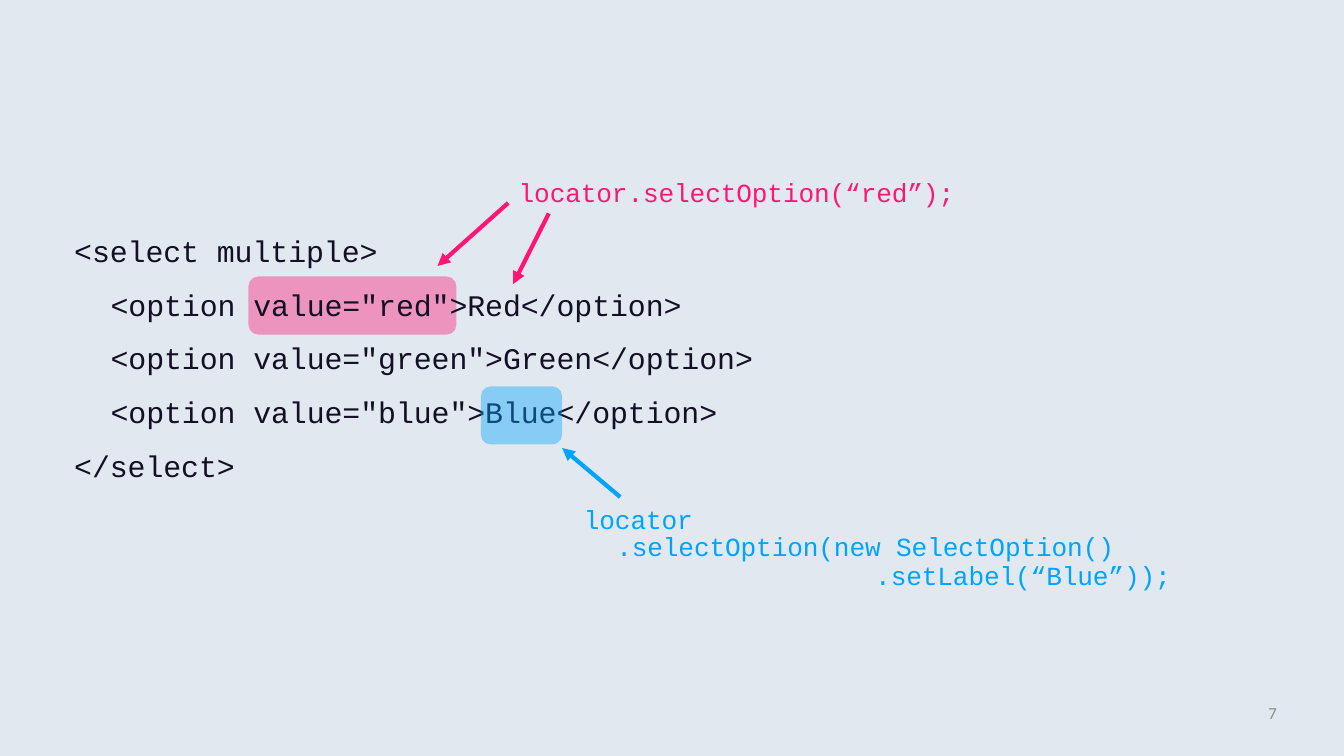
from dataclasses import dataclass

from lxml.etree import SubElement
from pptx import Presentation
from pptx.dml.color import RGBColor
from pptx.enum.shapes import MSO_CONNECTOR, MSO_SHAPE
from pptx.enum.text import MSO_ANCHOR, MSO_AUTO_SIZE, PP_ALIGN
from pptx.oxml.ns import qn
from pptx.util import Pt

PX = 9525


@dataclass(frozen=True)
class Theme:
    background: RGBColor = RGBColor(0xE2, 0xE8, 0xF0)
    code: RGBColor = RGBColor(0x13, 0x0F, 0x24)
    pink: RGBColor = RGBColor(0xFF, 0x16, 0x75)
    blue: RGBColor = RGBColor(0x00, 0xA3, 0xFE)
    muted: RGBColor = RGBColor(0x8C, 0x8C, 0x8C)
    code_font: str = "Courier New"
    number_font: str = "Calibri"
    code_size: int = 32
    call_size: int = 28
    number_size: int = 18
    arrow_width: float = 4.5


theme = Theme()


def place_text(shape, left, top, width, height, top_inset=0):
    shape.left, shape.top, shape.width, shape.height = (
        value * PX for value in (left, top, width, height))
    frame = shape.text_frame
    frame.word_wrap = True
    frame.auto_size = MSO_AUTO_SIZE.NONE
    frame.vertical_anchor = MSO_ANCHOR.TOP
    frame.margin_left = frame.margin_right = frame.margin_bottom = 0
    frame.margin_top = top_inset * PX
    return frame


def format_code(paragraph, size, color, indent, space_before, alignment=PP_ALIGN.LEFT):
    """Style one line of code, without a bullet and slightly tightened."""
    paragraph.alignment = alignment
    paragraph.space_before = Pt(space_before)
    properties = paragraph._p.get_or_add_pPr()
    properties.set("marL", str(indent * PX))
    properties.set("indent", "0")
    SubElement(properties, qn("a:buNone"))
    for run in paragraph.runs:
        run.font.name = theme.code_font
        run.font.size = Pt(size)
        run.font.color.rgb = color
        run._r.get_or_add_rPr().set("spc", "-10")


presentation = Presentation()
presentation.slide_width, presentation.slide_height = 1920 * PX, 1080 * PX
slide = presentation.slides.add_slide(presentation.slide_layouts[1])
slide.background.fill.solid()
slide.background.fill.fore_color.rgb = theme.background
title, body = slide.placeholders

title_frame = place_text(title, 740, 251, 628, 47, top_inset=1)
title_frame.text = "locator.selectOption(“red”);"
format_code(title_frame.paragraphs[0], theme.call_size, theme.pink, 1, 1)

# Highlights: the pink one lies behind the code, the blue one over it
for left, top, width, color in [(355, 395, 297, theme.pink), (687, 552, 116, theme.blue)]:
    highlight = slide.shapes.add_shape(
        MSO_SHAPE.ROUNDED_RECTANGLE, left * PX, top * PX, width * PX, 83 * PX)
    highlight.shadow.inherit = False
    highlight.line.fill.background()
    highlight.fill.solid()
    highlight.fill.fore_color.rgb = color
    fill_color = highlight.fill._xPr.find(qn("a:solidFill"))[0]
    SubElement(fill_color, qn("a:alpha"), val="40000")
    if color == theme.pink:
        highlight._element.addnext(body._element)

# text, indent, space before
code_lines = [
    ("<select multiple>", 1, 20.4),
    ('<option value="red">Red</option>', 53, 19.4),
    ('<option value="green">Green</option>', 53, 18.8),
    ('<option value="blue">Blue</option>', 53, 19.4),
    ("</select>", 1, 19.7),
]
# text, indent, space before, line spacing
call_lines = [
    ("locator", 44, 23.7, 30.9),
    (".selectOption(new SelectOption()", 692, 0, 28.6),
    (".setLabel(“Blue”));", 1143, 0, 31.3),
]
body_frame = place_text(body, 105, 305, 1570, 540, top_inset=27)
body_frame.text = "\n".join(line[0] for line in code_lines + call_lines)
paragraphs = body_frame.paragraphs
for paragraph, (_, indent, space_before) in zip(paragraphs, code_lines):
    format_code(paragraph, theme.code_size, theme.code, indent, space_before)
for paragraph, (_, indent, space_before, spacing) in zip(paragraphs[len(code_lines):], call_lines):
    format_code(paragraph, theme.call_size, theme.blue, indent, space_before, PP_ALIGN.CENTER)
    paragraph.line_spacing = Pt(spacing)

arrows = [
    (726, 290, 625, 380, theme.pink),
    (784, 305, 733, 406, theme.pink),
    (886, 710, 803, 640, theme.blue),
]
for start_x, start_y, end_x, end_y, color in arrows:
    arrow = slide.shapes.add_connector(
        MSO_CONNECTOR.STRAIGHT, start_x * PX, start_y * PX, end_x * PX, end_y * PX)
    arrow.line.color.rgb = color
    arrow.line.width = Pt(theme.arrow_width)
    SubElement(arrow.line._get_or_add_ln(), qn("a:tailEnd"), type="triangle")
    SubElement(arrow._element.spPr, qn("a:effectLst"))

number_box = slide.shapes.add_textbox(0, 0, 0, 0)
number_frame = place_text(number_box, 1382, 1004, 442, 54)
number_frame.text = "7"
number = number_frame.paragraphs[0]
number.alignment = PP_ALIGN.RIGHT
number.runs[0].font.name = theme.number_font
number.runs[0].font.size = Pt(theme.number_size)
number.runs[0].font.color.rgb = theme.muted

presentation.save("out.pptx")
